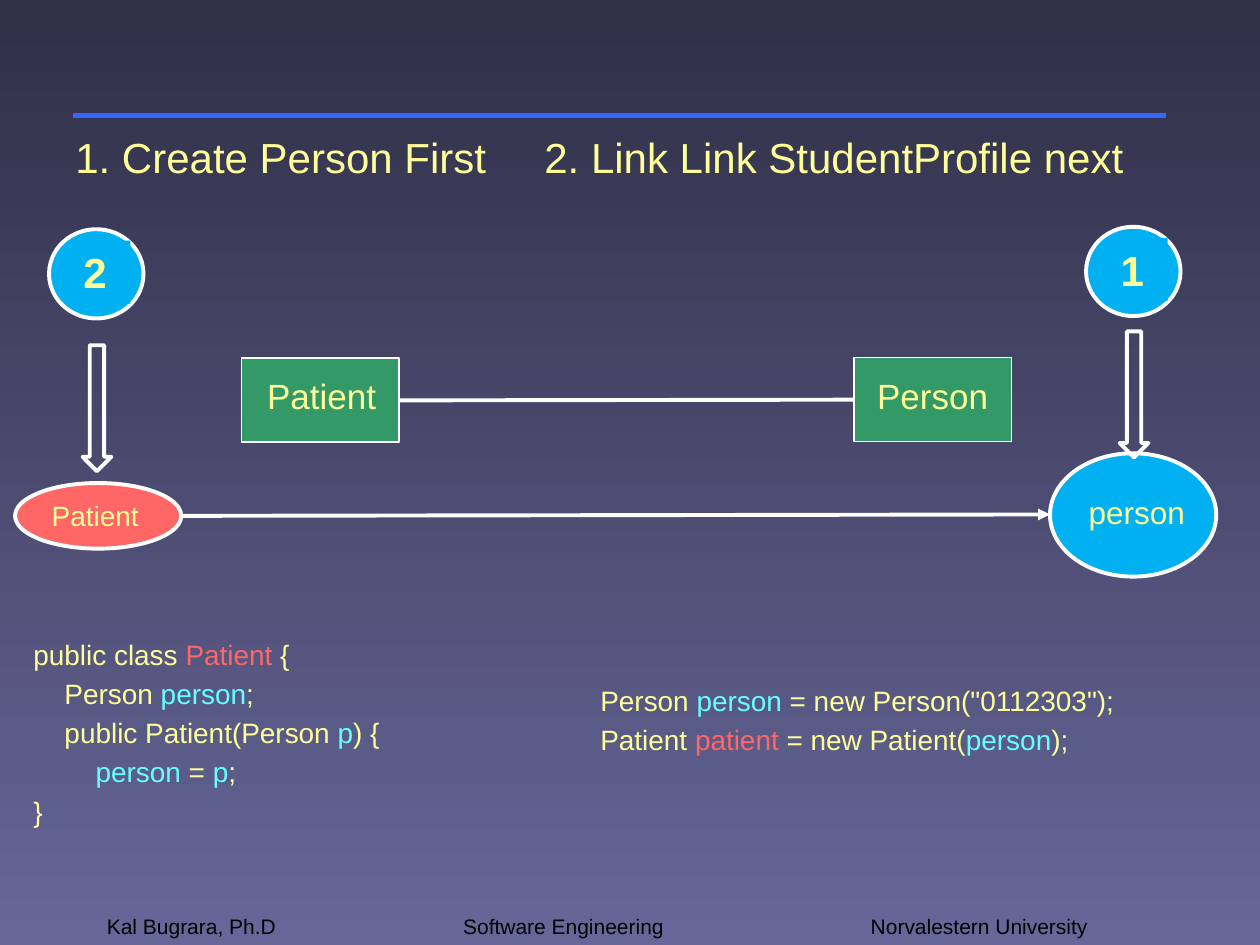
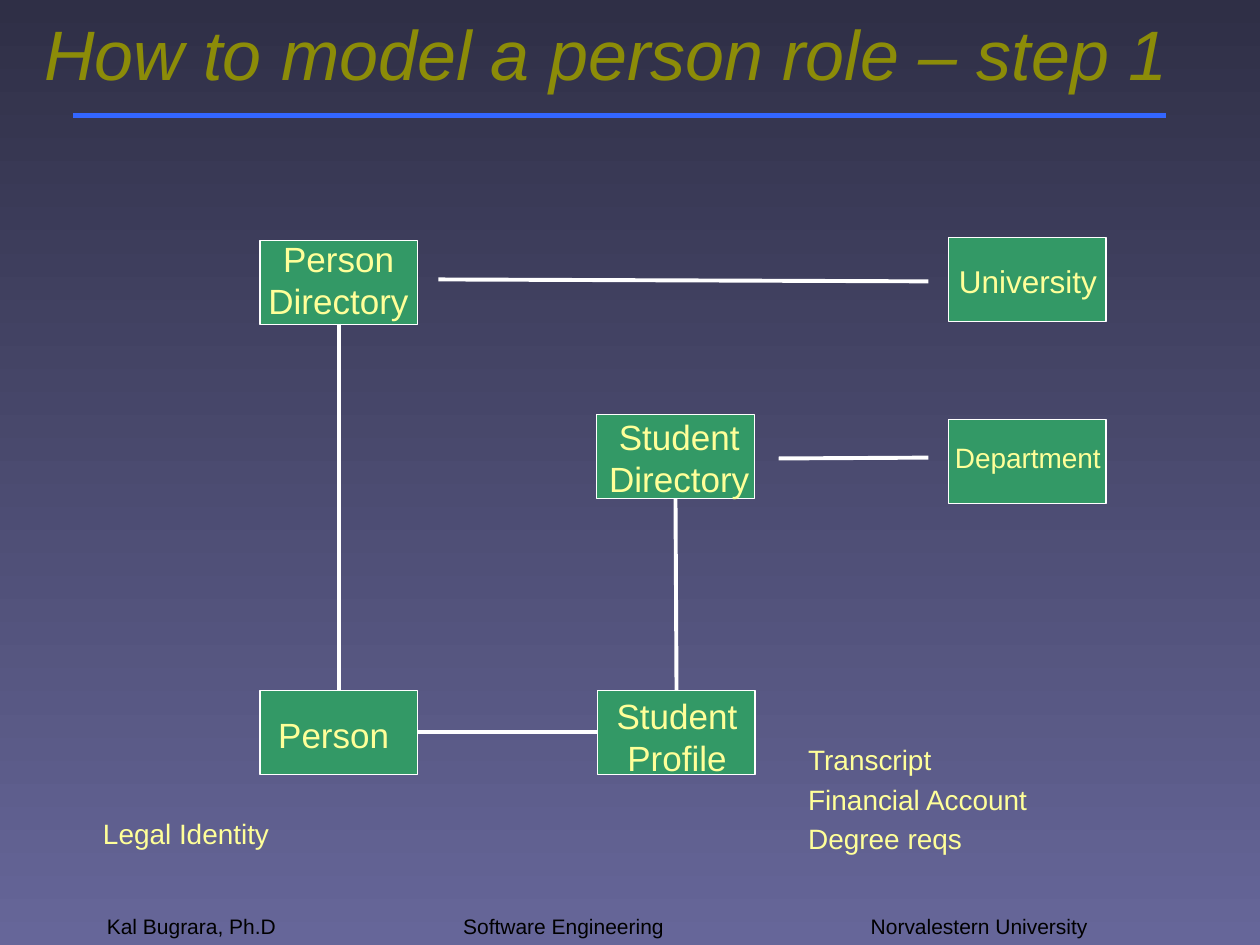
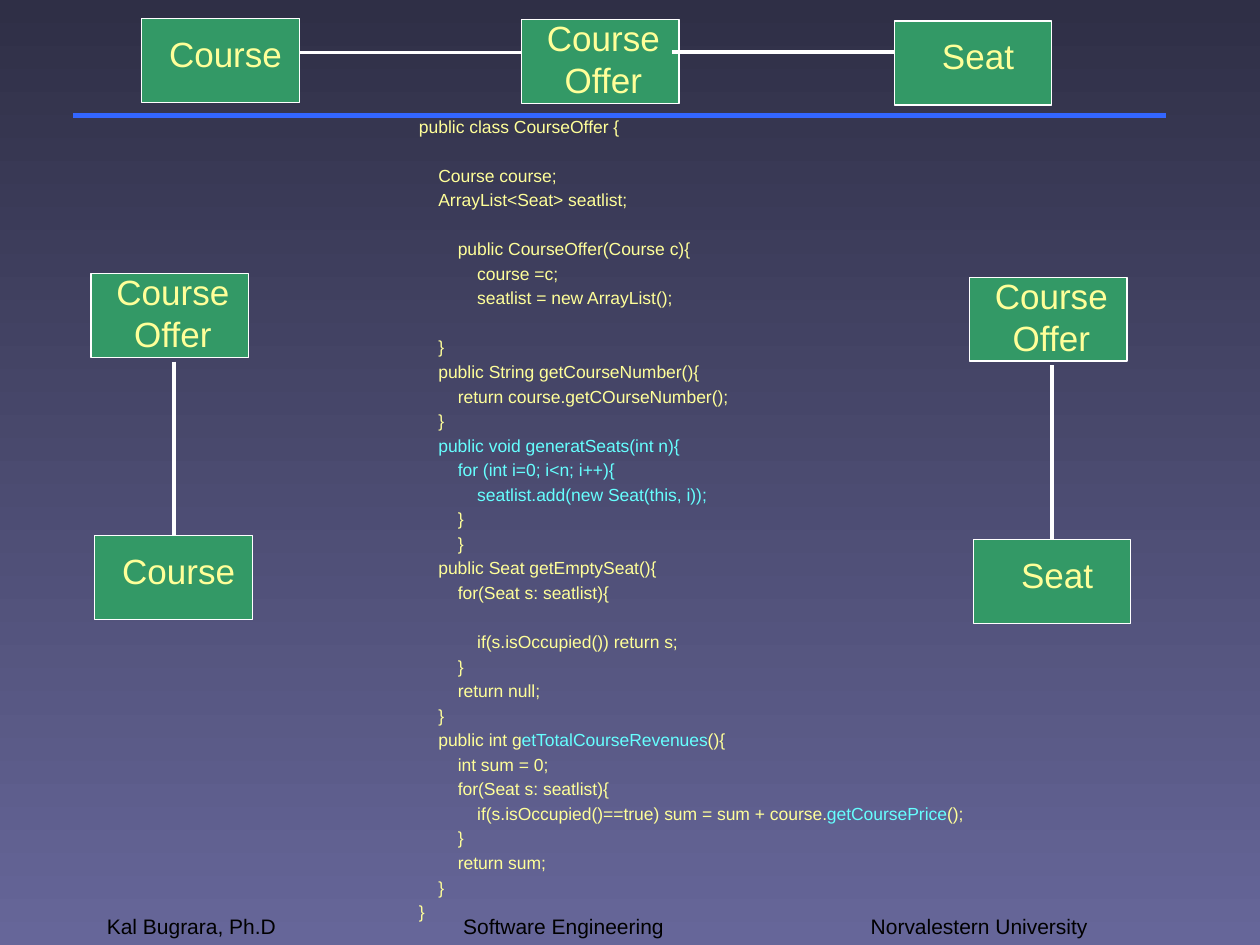
from lxml.etree import SubElement
from pptx import Presentation
from pptx.dml.color import RGBColor
from pptx.enum.shapes import MSO_CONNECTOR, MSO_SHAPE
from pptx.enum.text import MSO_ANCHOR, PP_ALIGN
from pptx.oxml.ns import qn
from pptx.util import Pt

DUSK = RGBColor(0x2F, 0x2F, 0x46)
PURPLE = RGBColor(0x66, 0x66, 0x99)
BLUE = RGBColor(0x33, 0x66, 0xFF)
OLIVE = RGBColor(0x8C, 0x8C, 0x08)
CREAM = RGBColor(0xFF, 0xFF, 0x99)
GREEN = RGBColor(0x33, 0x99, 0x66)
SKY = RGBColor(0x00, 0xB0, 0xF0)
AQUA = RGBColor(0x66, 0xFF, 0xFF)
RED = RGBColor(0xFF, 0x66, 0x66)
WHITE = RGBColor(0xFF, 0xFF, 0xFF)
BLACK = RGBColor(0, 0, 0)

CARD_W, CARD_H, LABEL_W = 90, 48, 114
FOOTER = {54: "Kal Bugrara, Ph.D", 257.6: "Software Engineering", 490.5: "Norvalestern University"}

ROLE = [
    (0, "public class ", ("Patient", RED), " {"),
    (1, "Person ", ("person", AQUA), ";"),
    (1, "public Patient(Person ", ("p", AQUA), ") {"),
    (2, ("person", AQUA), " = ", ("p", AQUA), ";"),
    (0, "}"),
]
USAGE = [
    (0, "Person ", ("person", AQUA), ' = new Person("0112303");'),
    (0, "Patient ", ("patient", RED), " = new Patient(", ("person", AQUA), ");"),
]
OFFER = [
    (0, "public class CourseOffer {"),
    None,
    (1, "Course course;"),
    (1, "ArrayList<Seat> seatlist;"),
    None,
    (2, "public CourseOffer(Course c){"),
    (3, "course =c;"),
    (3, "seatlist = new ArrayList();"),
    None,
    (1, "}"),
    (1, "public String getCourseNumber(){"),
    (2, "return course.getCOurseNumber();"),
    (1, "}"),
    (1, ("public void generatSeats(int n){", AQUA)),
    (2, ("for (int i=0; i<n; i++){", AQUA)),
    (3, ("seatlist.add(new Seat(this, i));", AQUA)),
    (2, "}"),
    (2, "}"),
    (1, "public Seat getEmptySeat(){"),
    (2, "for(Seat s: seatlist){"),
    None,
    (3, "if(s.isOccupied()) return s;"),
    (2, "}"),
    (2, "return null;"),
    (1, "}"),
    (1, "public int g", ("etTotalCourseRevenues", AQUA), "(){"),
    (2, "int sum = 0;"),
    (2, "for(Seat s: seatlist){"),
    (3, "if(s.isOccupied()==true) sum = sum + course.", ("getCoursePrice", AQUA), "();"),
    (2, "}"),
    (2, "return sum;"),
    (1, "}"),
    (0, "}"),
]


def style(item, **values):
    """Set each named attribute of the item."""
    for name, value in values.items():
        setattr(item, name, value)


def place(box):
    """Turn a box in points into lengths."""
    return [Pt(n) for n in box]


def space(para, size, level, gap):
    """Indent a paragraph and set the space above it."""
    props = para._p.get_or_add_pPr()
    props.set("marL", str(Pt(level * size * 1.11)))
    props.set("indent", "0")
    if gap:
        para.space_before = Pt(size * 1.6)
    else:
        before = SubElement(props, qn("a:spcBef"))
        SubElement(before, qn("a:spcPct"), val="20000")


def write(shape, lines, size, color=CREAM, align=PP_ALIGN.LEFT, anchor=MSO_ANCHOR.TOP, bold=False):
    """Write lines of (level, parts); None leaves a gap above the next line."""
    frame = shape.text_frame
    style(frame, word_wrap=True, vertical_anchor=anchor)
    para, gap = frame.paragraphs[0], False
    for line in lines:
        if line is None:
            gap = True
            continue
        level, *parts = line
        if para is None:
            para = frame.add_paragraph()
        space(para, size, level, gap)
        para.alignment = align
        for part in parts:
            text, tint = (part, color) if isinstance(part, str) else part
            run = para.add_run()
            run.text = text
            style(run.font, name="Arial", size=Pt(size), bold=bold)
            run.font.color.rgb = tint
        para, gap = None, False


def note(slide, box, lines, size, **look):
    """Add a text box; a plain string is one line."""
    if isinstance(lines, str):
        lines = [(0, lines)]
    write(slide.shapes.add_textbox(*place(box)), lines, size, **look)


def form(slide, kind, box, fill=None, width=2.25):
    """Add a shape with a white outline, or none when width is 0."""
    shape = slide.shapes.add_shape(kind, *place(box))
    shape.shadow.inherit = False
    if fill is None:
        shape.fill.background()
    else:
        shape.fill.solid()
        shape.fill.fore_color.rgb = fill
    if width:
        shape.line.color.rgb = WHITE
        shape.line.width = Pt(width)
    else:
        shape.line.fill.background()
    return shape


def link(slide, ends, color=WHITE, width=2.25, arrow=False):
    """Draw a straight line between two points."""
    line = slide.shapes.add_connector(MSO_CONNECTOR.STRAIGHT, *place(ends))
    line.line.color.rgb = color
    line.line.width = Pt(width)
    props = line._element.spPr
    if arrow:
        SubElement(props.find(qn("a:ln")), qn("a:tailEnd"), type="triangle")
    SubElement(props, qn("a:effectLst"))


def card(slide, text, left, top, dx, dy, size=20):
    """Draw a class card with its label shifted by dx from centre and dy from top."""
    form(slide, MSO_SHAPE.RECTANGLE, (left, top, CARD_W, CARD_H), GREEN, 0.75)
    x = left + (CARD_W - LABEL_W) / 2 + dx
    note(slide, (x, top + dy, LABEL_W, CARD_H), text, size, align=PP_ALIGN.CENTER)


def step(slide, digit, left, top, drop):
    """Draw a numbered badge and the arrow below it."""
    form(slide, MSO_SHAPE.OVAL, (left, top, 54, 51), SKY)
    patch = form(slide, MSO_SHAPE.RECTANGLE, (left + 12.6, top + 6.5, 34, 36), SKY, 0)
    write(patch, [(0, digit)], 24, bold=True)
    form(slide, MSO_SHAPE.DOWN_ARROW, (left + 19.2, top + drop, 16.5, 72))


def pair(slide, child, left, top):
    """Draw a course offer linked down to its child class."""
    card(slide, "Course Offer", left, top, 1.8, -5)
    card(slide, child, left + 2.2, top + 149.8, 2.9, 4.3)
    link(slide, (left + 47.2, top + 50.4, left + 47.2, top + 149.8))


def base(deck, layout):
    """Add a slide with the shared rule and footer."""
    slide = deck.slides.add_slide(deck.slide_layouts[layout])
    link(slide, (42, 66, 666, 66), BLUE, 3)
    for left, text in FOOTER.items():
        note(slide, (left, 504, 150, 36), text, 12, color=BLACK, anchor=MSO_ANCHOR.BOTTOM)
    return slide


def head(slide, text):
    """Place and format the title."""
    title = slide.shapes.title
    style(title, **dict(zip(("left", "top", "width", "height"), place((18, 0, 691, 60)))))
    title.text = text
    style(title.text_frame, vertical_anchor=MSO_ANCHOR.MIDDLE)
    para = title.text_frame.paragraphs[0]
    para.alignment = PP_ALIGN.LEFT
    style(para.font, name="Arial", size=Pt(40), italic=True)
    para.font.color.rgb = OLIVE


def order(deck):
    """Build the slide on the order of creation."""
    slide = base(deck, 6)
    card(slide, "Person", 488, 204.3, 0, 6)
    card(slide, "Patient", 138, 204.6, 0.8, 6)
    link(slide, (228, 228.8, 488, 228.4))
    note(slide, (36, 71.6, 260, 36), "1. Create Person First", 24)
    note(slide, (304, 71.6, 400, 36), "2. Link Link StudentProfile next", 24)
    form(slide, MSO_SHAPE.OVAL, (600, 259, 95, 70.5), SKY)
    note(slide, (615, 278.4, 80, 29), "person", 18)
    oval = form(slide, MSO_SHAPE.OVAL, (8.6, 276, 95, 37.5), RED)
    write(oval, [(0, "Patient")], 16)
    step(slide, "1", 620.6, 129.6, 59.8)
    step(slide, "2", 28, 131, 66.3)
    link(slide, (103.7, 294.8, 600, 294), arrow=True)
    note(slide, (12, 360.7, 320, 120), ROLE, 16)
    note(slide, (336, 387.2, 380, 50), USAGE, 16)


def model(deck):
    """Build the slide on modelling a person role."""
    slide = base(deck, 5)
    head(slide, "How to model a person role – step 1")
    card(slide, "Person", 148.5, 394.5, -2.8, 9.4)
    card(slide, "Student Profile", 341.5, 394.5, 0.4, -1.4)
    card(slide, "Student Directory", 341, 237, 2.2, -3)
    card(slide, "Person Directory", 148.5, 137.3, 0, -5.4)
    card(slide, "Department", 542, 239.6, 0.4, 8.8, 16)
    card(slide, "University", 542, 135.7, 0.4, 10.4, 18)
    for ends in (
        (193.7, 185, 193.7, 394.5),
        (238.5, 418.3, 341.5, 418.3),
        (386, 285, 386.6, 394.5),
        (250.5, 159.7, 530.5, 160.8),
        (530.5, 261.5, 445, 262),
    ):
        link(slide, ends)
    parts = [(0, "Transcript"), (0, "Financial Account"), (0, "Degree reqs")]
    note(slide, (454.8, 421, 180, 73), parts, 16)
    note(slide, (51.8, 463, 130, 27), "Legal Identity", 16)


def offer(deck):
    """Build the slide on course offers and seats."""
    slide = base(deck, 6)
    pair(slide, "Course", 52, 156.2)
    pair(slide, "Seat", 554, 158.4)
    card(slide, "Course Offer", 298, 11, 1.8, -5)
    card(slide, "Course", 81, 10.6, 2.9, 4.3)
    card(slide, "Seat", 511, 12, 2.9, 4.3)
    note(slide, (232.3, 62.6, 350, 484), OFFER, 10)
    link(slide, (171, 30, 298, 30))
    link(slide, (384, 29.5, 511, 29.5))


def main():
    """Build and save the deck."""
    deck = Presentation()
    style(deck, slide_width=Pt(720), slide_height=Pt(540))
    fill = deck.slide_master.background.fill
    fill.gradient()
    fill.gradient_angle = 270
    for stop, color in zip(fill.gradient_stops, (DUSK, PURPLE)):
        stop.color.rgb = color
    order(deck)
    model(deck)
    offer(deck)
    deck.save("out.pptx")


if __name__ == "__main__":
    main()
